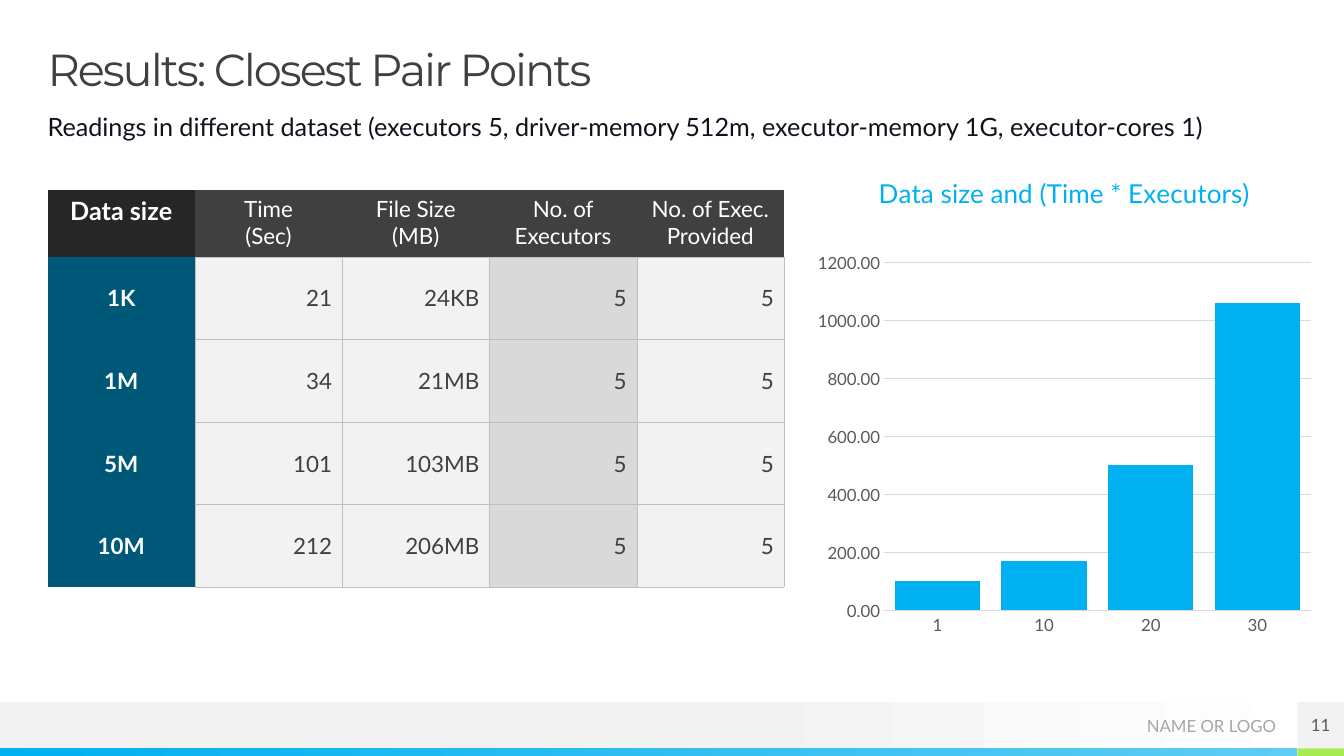
from lxml.etree import SubElement
from pptx import Presentation
from pptx.chart.data import CategoryChartData
from pptx.dml.color import RGBColor
from pptx.enum.chart import XL_CHART_TYPE, XL_TICK_MARK
from pptx.enum.shapes import MSO_SHAPE
from pptx.enum.text import MSO_ANCHOR, PP_ALIGN
from pptx.oxml.ns import qn
from pptx.util import Pt

BODY_FONT = "Lato"
SKY, DARK, WHITE, PALE = "00B0F0", "404040", "FFFFFF", "F2F2F2"
AXIS_TEXT, GRID, BORDER = "595959", "D9D9D9", "BFBFBF"
MARGIN, CONTENT_WIDTH = 34, 892.8
FOOTER_TOP, STRIPE_TOP, FOOTER_WIDTH = 501.5, 534.5, 926.8
SLIDE_WIDTH, SLIDE_HEIGHT = 960, 540

HEADINGS = [["Data size"], ["Time", "(Sec)"], ["File Size", "(MB)"],
            ["No. of Executors"], ["No. of Exec. Provided"]]
READINGS = [["1K", "21", "24KB", "5", "5"],
            ["1M", "34", "21MB", "5", "5"],
            ["5M", "101", "103MB", "5", "5"],
            ["10M", "212", "206MB", "5", "5"]]
EXECUTOR_TIMES = {"1": 100, "10": 170, "20": 500, "30": 1060}


def rgb(value):
    """Turn a hex string into a colour."""
    return RGBColor.from_string(value)


def paint(fill, color):
    """Fill with one solid colour."""
    fill.solid()
    fill.fore_color.rgb = rgb(color)


def style_font(font, size, color, bold=False, name=BODY_FONT):
    """Set the look of a font."""
    font.name, font.size, font.bold = name, Pt(size), bold
    font.color.rgb = rgb(color)


def write(frame, lines, size, color, align=PP_ALIGN.LEFT, bold=False, name=BODY_FONT):
    """Write each line as a paragraph of one run and return the last run."""
    for index, line in enumerate(lines):
        paragraph = frame.add_paragraph() if index else frame.paragraphs[0]
        paragraph.alignment = align
        run = paragraph.add_run()
        run.text = line
        style_font(run.font, size, color, bold, name)
    return run


def prepare_frame(frame, anchor):
    """Remove the insets, wrap the text and anchor it."""
    frame.word_wrap = True
    frame.vertical_anchor = anchor
    frame.margin_left = frame.margin_top = frame.margin_right = frame.margin_bottom = 0


def add_text(slide, box, text, size, color, align=PP_ALIGN.LEFT,
             anchor=MSO_ANCHOR.TOP, name=BODY_FONT):
    """Add a text box and return its run."""
    frame = slide.shapes.add_textbox(*map(Pt, box)).text_frame
    prepare_frame(frame, anchor)
    return write(frame, [text], size, color, align, name=name)


def add_band(slide, box, *stops):
    """Add a rectangle in one colour or a gradient of (position, colour) stops."""
    band = slide.shapes.add_shape(MSO_SHAPE.RECTANGLE, *map(Pt, box))
    band.shadow.inherit = False
    band.line.fill.background()
    if len(stops) == 1:
        paint(band.fill, stops[0])
        return band
    band.fill.gradient()
    band.fill.gradient_angle = 0
    for gradient_stop, (position, color) in zip(band.fill.gradient_stops, stops):
        gradient_stop.position = position
        gradient_stop.color.rgb = rgb(color)
    return band


def set_borders(cell, ruled_sides):
    """Rule the given sides of a cell and clear the others."""
    properties = cell._tc.get_or_add_tcPr()
    for side in "LRTB":
        border = SubElement(properties, qn(f"a:ln{side}"), w=str(Pt(0.25)))
        if side in ruled_sides:
            solid = SubElement(border, qn("a:solidFill"))
            SubElement(solid, qn("a:srgbClr"), val=BORDER)
        else:
            SubElement(border, qn("a:noFill"))


def fill_cell(cell, row, column, lines):
    """Style one cell by its row and column and write it."""
    align, size, color, bold = PP_ALIGN.CENTER, 16, WHITE, column == 0
    if row == 0:
        sides, background = ("", "262626") if column == 0 else ("B", DARK)
        size = 18 if column == 0 else 16
    elif column == 0:
        sides, background = "R", "005878"
    else:
        sides, background = "LRTB", GRID if column == 3 else PALE
        align, color = PP_ALIGN.RIGHT, DARK
    set_borders(cell, sides)
    paint(cell.fill, background)
    cell.vertical_anchor = MSO_ANCHOR.MIDDLE if row else MSO_ANCHOR.TOP
    write(cell.text_frame, lines, size, color, align, bold)


def add_readings_table(slide):
    """Add the table of readings."""
    rows = [HEADINGS] + [[[value] for value in reading] for reading in READINGS]
    table = slide.shapes.add_table(len(rows), len(HEADINGS), Pt(MARGIN), Pt(136),
                                   Pt(526), Pt(283.5)).table
    table.first_row = table.horz_banding = False
    for column in table.columns:
        column.width = Pt(105.2)
    for row, texts in enumerate(rows):
        table.rows[row].height = Pt(59 if row else 47.5)
        for column, lines in enumerate(texts):
            fill_cell(table.cell(row, column), row, column, lines)


def place(element, index, **position):
    """Give a chart part a manual layout in fractions of the chart."""
    for old in element.findall(qn("c:layout")):
        element.remove(old)
    layout = element.makeelement(qn("c:layout"))
    element.insert(index, layout)
    manual = SubElement(layout, qn("c:manualLayout"))
    if "w" in position:
        SubElement(manual, qn("c:layoutTarget"), val="inner")
    for mode in ("xMode", "yMode"):
        SubElement(manual, qn(f"c:{mode}"), val="edge")
    for key, value in position.items():
        SubElement(manual, qn(f"c:{key}"), val=str(value))


def style_axis(axis):
    """Set the labels of an axis and remove its ticks."""
    axis.major_tick_mark = axis.minor_tick_mark = XL_TICK_MARK.NONE
    style_font(axis.tick_labels.font, 12, AXIS_TEXT)


def style_line(line):
    """Draw a thin grey chart line."""
    line.color.rgb = rgb(GRID)
    line.width = Pt(0.75)


def add_executor_chart(slide):
    """Add the column chart of data size against executor time."""
    data = CategoryChartData(number_format="0.00")
    data.categories = list(EXECUTOR_TIMES)
    data.add_series("Series 1", list(EXECUTOR_TIMES.values()))
    chart = slide.shapes.add_chart(XL_CHART_TYPE.COLUMN_CLUSTERED, Pt(576.5), Pt(110.5),
                                   Pt(367.2), Pt(350), data).chart
    chart.has_legend = False
    style_font(chart.font, 10, "000000")
    chart.has_title = True
    write(chart.chart_title.text_frame, ["Data size and (Time * Executors)"], 18.6, SKY,
          PP_ALIGN.CENTER)
    place(chart.chart_title._element, 1, x=0.13, y=0.03)

    style_axis(chart.category_axis)
    style_line(chart.category_axis.format.line)
    values = chart.value_axis
    style_axis(values)
    values.minimum_scale, values.maximum_scale, values.major_unit = 0, 1200, 200
    values.tick_labels.number_format = "0.00"
    values.tick_labels.number_format_is_linked = False
    values.format.line.fill.background()
    style_line(values.major_gridlines.format.line)

    plot = chart.plots[0]
    plot.gap_width = 25
    plot.vary_by_categories = False
    paint(plot.series[0].format.fill, SKY)
    place(plot._element.getparent(), 0, x=0.15, y=0.22, w=0.83, h=0.71)


def add_footer(slide):
    """Add the footer bands, the owner's name and the page number."""
    corner = SLIDE_WIDTH - FOOTER_WIDTH
    band_height, stripe_height = STRIPE_TOP - FOOTER_TOP, SLIDE_HEIGHT - STRIPE_TOP
    add_band(slide, (0, FOOTER_TOP, SLIDE_WIDTH, band_height), (0.53, PALE), (1, WHITE))
    add_band(slide, (0, STRIPE_TOP, FOOTER_WIDTH, stripe_height), (0, SKY), (1, "5ECCF3"))
    add_band(slide, (FOOTER_WIDTH, STRIPE_TOP, corner, stripe_height), "A7EA52")
    add_text(slide, (750, FOOTER_TOP, 161.5, 34), "NAME OR LOGO", 12, "A6A6A6",
             PP_ALIGN.RIGHT, MSO_ANCHOR.MIDDLE)
    page = add_band(slide, (FOOTER_WIDTH, FOOTER_TOP, corner, band_height), PALE)
    prepare_frame(page.text_frame, MSO_ANCHOR.MIDDLE)
    write(page.text_frame, ["11"], 12, AXIS_TEXT, PP_ALIGN.CENTER)


def main():
    """Build the slide and save it."""
    deck = Presentation()
    deck.slide_width, deck.slide_height = Pt(SLIDE_WIDTH), Pt(SLIDE_HEIGHT)
    slide = deck.slides.add_slide(deck.slide_layouts[6])
    add_footer(slide)
    heading = add_text(slide, (MARGIN, 34, CONTENT_WIDTH, 34),
                       "Results: Closest Pair Points", 32, DARK, name="Montserrat")
    heading.font._element.set("spc", "-150")
    slide.shapes[-1].text_frame.paragraphs[0].line_spacing = 0.9
    add_text(slide, (MARGIN, 79.5, CONTENT_WIDTH, 28),
             "Readings in different dataset (executors 5, driver-memory 512m, "
             "executor-memory 1G, executor-cores 1)", 18, "12121E")
    add_readings_table(slide)
    add_executor_chart(slide)
    deck.save("out.pptx")


if __name__ == "__main__":
    main()
